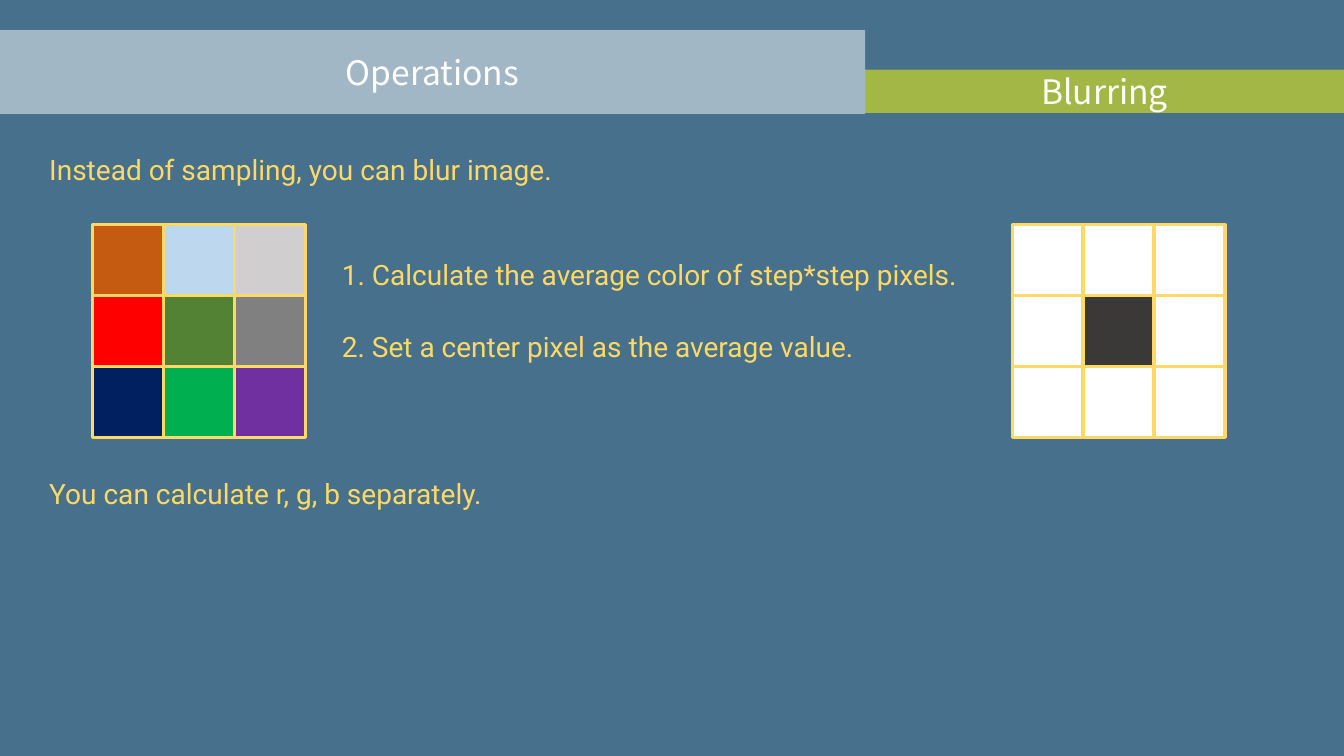
from dataclasses import dataclass

from lxml import etree
from pptx import Presentation
from pptx.dml.color import RGBColor
from pptx.enum import shapes, text
from pptx.oxml import ns
from pptx.util import Inches, Pt


@dataclass(frozen=True)
class Theme:
    background: str = "46708C"
    white: str = "FFFFFF"
    yellow: str = "FFFF00"
    gold: str = "FFD966"
    result: str = "3B3838"
    heading_font: str = "Noto Sans CJK KR"
    body_font: str = "Roboto"
    heading_size: int = 24
    body_size: int = 20
    outline: float = 2.25


theme = Theme()


def style_text(frame, font, size, color, align):
    for para in frame.paragraphs:
        para.alignment = align
        para.line_spacing = 1.0
        para.space_before = Pt(0)
        for span in para.runs:
            span.font.name = font
            span.font.size = Pt(size)
            span.font.color.rgb = RGBColor.from_string(color)


def place(box, left, top, width, height):
    box.left, box.top = Inches(left), Inches(top)
    box.width, box.height = Inches(width), Inches(height)


deck = Presentation()
deck.slide_width, deck.slide_height = Inches(13.33), Inches(7.5)
page = deck.slides.add_slide(deck.slide_layouts[1])
page.background.fill.solid()
page.background.fill.fore_color.rgb = RGBColor.from_string(theme.background)

# Heading banners, half transparent
title = page.shapes.title
place(title, 0, 0.3, 8.58, 0.83)
subtitle = page.shapes.add_shape(
    shapes.MSO_SHAPE.RECTANGLE, Inches(8.58), Inches(0.69), Inches(4.75), Inches(0.43))
subtitle.shadow.inherit = False
subtitle.line.fill.background()
for banner, words, color in [(title, "Operations", theme.white),
                             (subtitle, "Blurring", theme.yellow)]:
    banner.fill.solid()
    banner.fill.fore_color.rgb = RGBColor.from_string(color)
    solid_color = banner.fill._xPr.find(".//" + ns.qn("a:srgbClr"))
    etree.SubElement(solid_color, ns.qn("a:alpha"), val="50000")
    frame = banner.text_frame
    frame.text = words
    frame.word_wrap = True
    frame.auto_size = text.MSO_AUTO_SIZE.NONE
    frame.vertical_anchor = text.MSO_ANCHOR.MIDDLE
    style_text(frame, theme.heading_font, theme.heading_size, theme.white,
               text.PP_ALIGN.CENTER)

# Statements above and below the diagram
for words, top in [("Instead of sampling, you can blur image.", 1.46),
                   ("You can calculate r, g, b separately.", 4.68)]:
    box = page.shapes.add_textbox(Inches(0.39), Inches(top), Inches(10.2), Inches(0.44))
    box.text_frame.text = words
    box.text_frame.word_wrap = True
    style_text(box.text_frame, theme.body_font, theme.body_size, theme.gold,
               text.PP_ALIGN.LEFT)

# Steps between the two pixel grids
steps = page.placeholders[1]
place(steps, 3.29, 2.5, 6.7, 1.15)
frame = steps.text_frame
frame.text = ("1. Calculate the average color of step*step pixels.\n"
              "2. Set a center pixel as the average value.")
frame.auto_size = text.MSO_AUTO_SIZE.NONE
frame.vertical_anchor = text.MSO_ANCHOR.TOP
style_text(frame, theme.body_font, theme.body_size, theme.gold, text.PP_ALIGN.LEFT)
frame.paragraphs[0].space_after = Pt(27.4)
for para in frame.paragraphs:
    properties = para._p.get_or_add_pPr()
    properties.set("marL", "0")
    properties.set("indent", "0")
    etree.SubElement(properties, ns.qn("a:buNone"))

# Source pixels on the left, blurred center on the right
source_colors = ["C55A11", "BDD7EE", "D0CECE",
                 "FF0000", "548235", "808080",
                 "002060", "00B050", "7030A0"]
result_colors = [theme.white] * 4 + [theme.result] + [theme.white] * 4
grid_top, pitch, side = 2.23, 0.705, 0.7
for grid_left, colors in [(0.92, source_colors), (10.04, result_colors)]:
    for index, color in enumerate(colors):
        row, column = divmod(index, 3)
        pixel = page.shapes.add_shape(
            shapes.MSO_SHAPE.RECTANGLE,
            Inches(grid_left + column * pitch), Inches(grid_top + row * pitch),
            Inches(side), Inches(side))
        pixel.shadow.inherit = False
        pixel.fill.solid()
        pixel.fill.fore_color.rgb = RGBColor.from_string(color)
        pixel.line.color.rgb = RGBColor.from_string(theme.gold)
        pixel.line.width = Pt(theme.outline)

deck.save("out.pptx")
